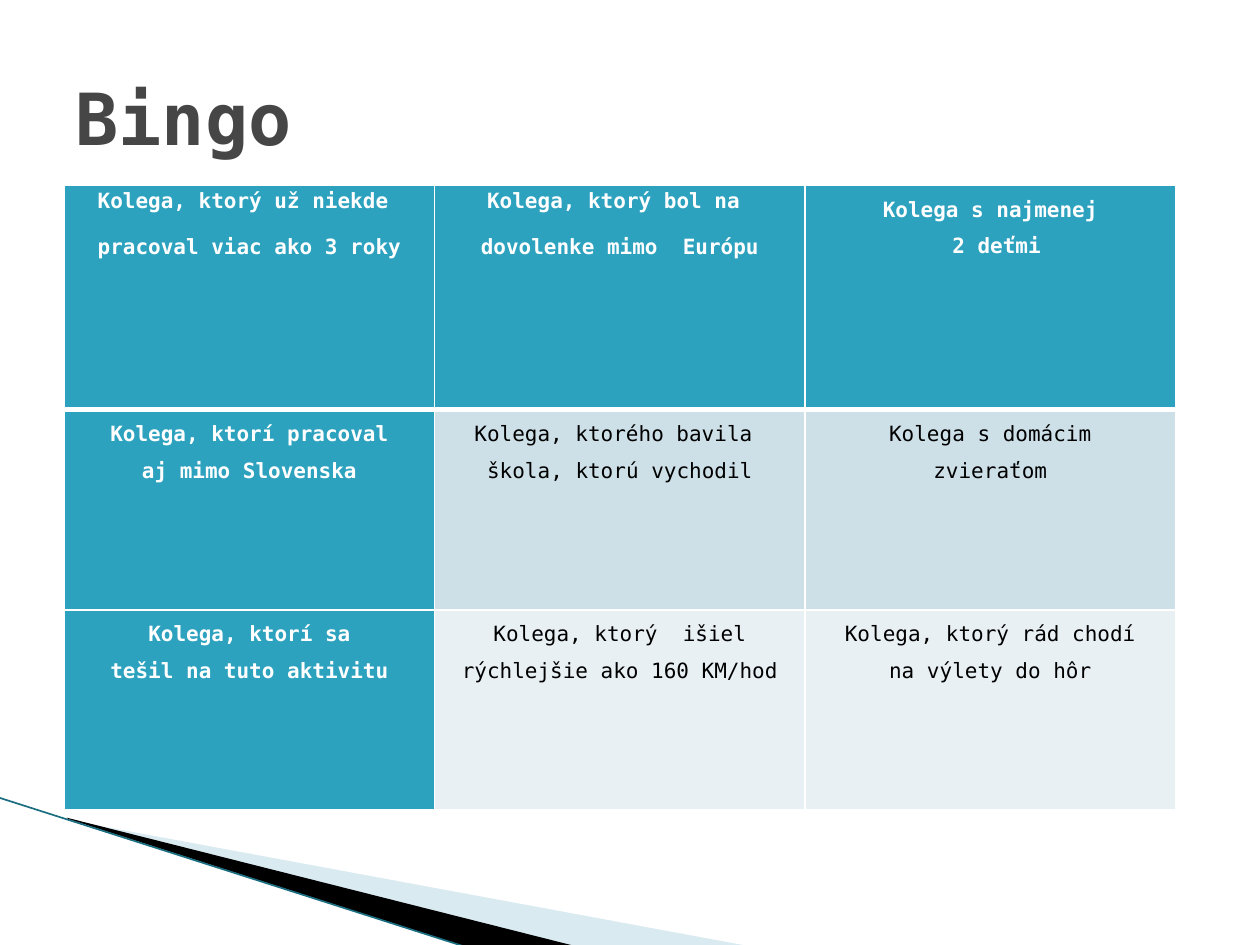
from lxml import etree
from pptx import Presentation
from pptx.dml.color import RGBColor
from pptx.enum.shapes import MSO_CONNECTOR
from pptx.enum.text import MSO_ANCHOR, PP_ALIGN
from pptx.oxml.ns import qn
from pptx.util import Inches, Pt

CENTER = PP_ALIGN.CENTER
LEFT = PP_ALIGN.LEFT
MIDDLE = MSO_ANCHOR.MIDDLE
STRAIGHT = MSO_CONNECTOR.STRAIGHT

WHITE = RGBColor(0xFF, 0xFF, 0xFF)
BLACK = RGBColor(0x00, 0x00, 0x00)
GRAY = RGBColor(0x46, 0x46, 0x46)
TEAL = RGBColor(0x2D, 0xA2, 0xBF)
DARK_TEAL = RGBColor(0x1A, 0x6E, 0x80)
PALE_BLUE = RGBColor(0xA0, 0xCB, 0xDC)
BAND_FILLS = [TEAL, RGBColor(0xCD, 0xE0, 0xE8), RGBColor(0xE8, 0xF0, 0xF4)]

FONT = "DejaVu Sans Mono"
ROW_HEIGHTS = [1.78, 1.59, 1.59]
COLUMN_WIDTH = 2.94
BINGO = [
    [["Kolega, ktorý už niekde ", "pracoval viac ako 3 roky"],
     ["Kolega, ktorý bol na ", "dovolenke mimo  Európu"],
     ["Kolega s najmenej", " 2 deťmi"]],
    [["Kolega, ktorí pracoval", "aj mimo Slovenska"],
     ["Kolega, ktorého bavila ", "škola, ktorú vychodil"],
     ["Kolega s domácim", "zvieraťom"]],
    [["Kolega, ktorí sa", "tešil na tuto aktivitu"],
     ["Kolega, ktorý  išiel rýchlejšie ako 160 KM/hod"],
     ["Kolega, ktorý rád chodí", "na výlety do hôr"]],
]
SPACED_CELLS = {(0, 0), (0, 1)}


def add_wedge(slide, points, color, opacity=100):
    corners = [(Inches(x), Inches(y)) for x, y in points]
    builder = slide.shapes.build_freeform(*corners[0])
    builder.add_line_segments(corners[1:], close=True)
    shape = builder.convert_to_shape()
    shape.shadow.inherit = False
    shape.line.fill.background()
    shape.fill.solid()
    shape.fill.fore_color.rgb = color
    if opacity < 100:
        color_element = shape.fill._xPr.find(".//" + qn("a:srgbClr"))
        etree.SubElement(color_element, qn("a:alpha"), val=str(opacity * 1000))


def add_edge_line(slide, start, end):
    line = slide.shapes.add_connector(STRAIGHT, *map(Inches, start + end))
    line.line.color.rgb = DARK_TEAL
    line.line.width = Pt(0.95)
    etree.SubElement(line._element.spPr, qn("a:effectLst"))


def set_title(slide, text):
    title = slide.shapes.title
    title.left, title.top, title.width, title.height = map(Inches, (0.5, 0.3, 9, 1.25))
    title.text_frame.text = text
    title.text_frame.vertical_anchor = MIDDLE
    paragraph = title.text_frame.paragraphs[0]
    paragraph.alignment = LEFT
    paragraph.font.name = FONT
    paragraph.font.size = Pt(41)
    paragraph.font.bold = True
    paragraph.font.color.rgb = GRAY


def set_borders(cell, bottom_width):
    properties = cell._tc.get_or_add_tcPr()
    widths = {"a:lnL": 1, "a:lnR": 1, "a:lnT": 1, "a:lnB": bottom_width}
    for position, (tag, width) in enumerate(widths.items()):
        border = etree.Element(qn(tag), w=str(Pt(width)))
        fill = etree.SubElement(border, qn("a:solidFill"))
        etree.SubElement(fill, qn("a:srgbClr"), val=str(WHITE))
        properties.insert(position, border)


def fill_cell(cell, lines, row, column):
    is_header = row == 0 or column == 0
    cell.margin_left = cell.margin_right = Inches(0.07)
    cell.margin_top = cell.margin_bottom = 0
    cell.fill.solid()
    cell.fill.fore_color.rgb = TEAL if is_header else BAND_FILLS[row]
    set_borders(cell, 3 if row == 0 else 1)
    cell.text_frame.text = "\n".join(lines)
    spaced = (row, column) in SPACED_CELLS
    for paragraph in cell.text_frame.paragraphs:
        paragraph.alignment = CENTER
        paragraph.line_spacing = 1.15 if spaced else 1.5
        paragraph.space_after = Pt(10 if spaced else 0)
        paragraph.font.name = FONT
        paragraph.font.size = Pt(12)
        paragraph.font.bold = is_header
        paragraph.font.color.rgb = WHITE if is_header else BLACK


def add_bingo_table(slide):
    column_count = len(BINGO[0])
    table = slide.shapes.add_table(
        len(BINGO), column_count, Inches(0.51), Inches(1.47),
        Inches(COLUMN_WIDTH * column_count), Inches(sum(ROW_HEIGHTS))).table
    table.first_col = True
    for column in table.columns:
        column.width = Inches(COLUMN_WIDTH)
    for row, cells in enumerate(BINGO):
        table.rows[row].height = Inches(ROW_HEIGHTS[row])
        for column, lines in enumerate(cells):
            fill_cell(table.cell(row, column), lines, row, column)


def main():
    presentation = Presentation()
    presentation.slide_width = Inches(10)
    presentation.slide_height = Inches(7.5)
    slide = presentation.slides.add_slide(presentation.slide_layouts[5])
    add_wedge(slide, [(0.55, 6.51), (5.95, 7.51), (4.56, 7.51), (0.55, 6.5)], PALE_BLUE, 40)
    add_wedge(slide, [(0.53, 6.49), (4.57, 7.51), (3.72, 7.52), (0.54, 6.5)], BLACK)
    add_edge_line(slide, (-0.01, 6.33), (3.71, 7.52))
    add_bingo_table(slide)
    set_title(slide, "Bingo")
    presentation.save("out.pptx")


if __name__ == "__main__":
    main()
